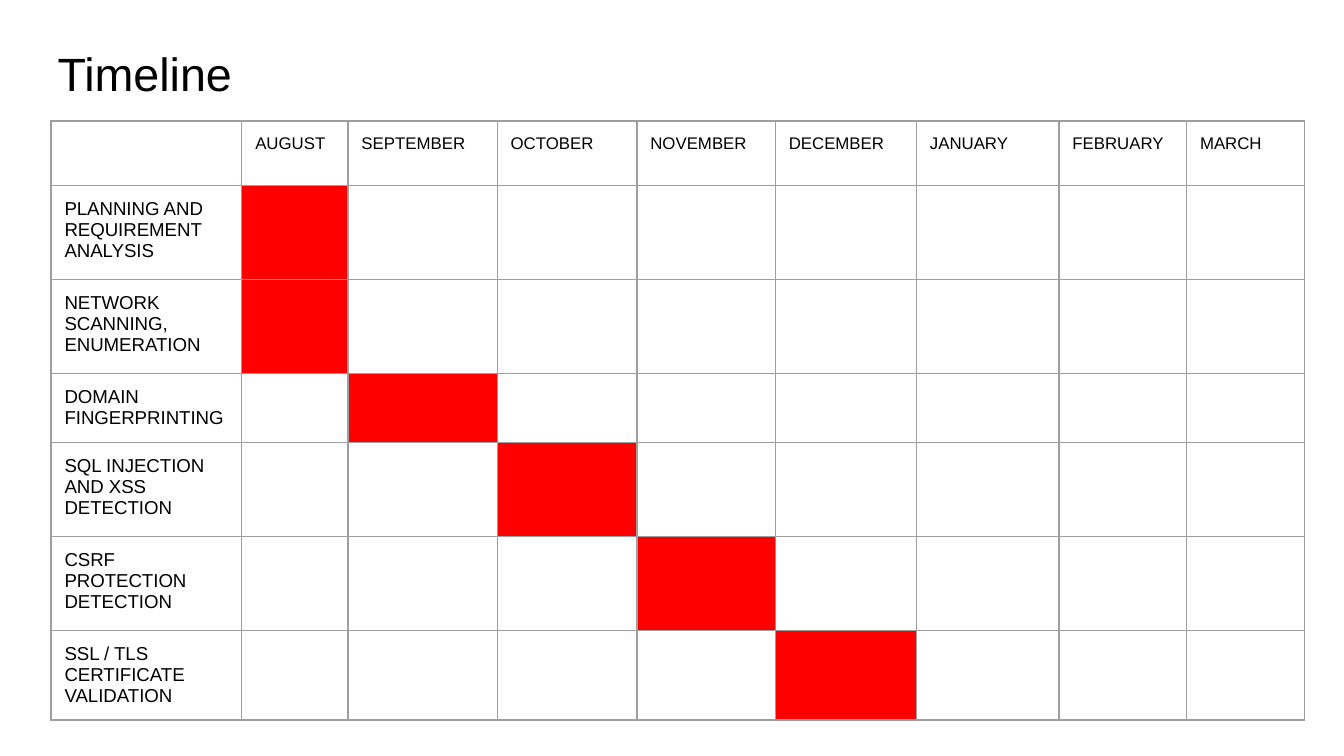
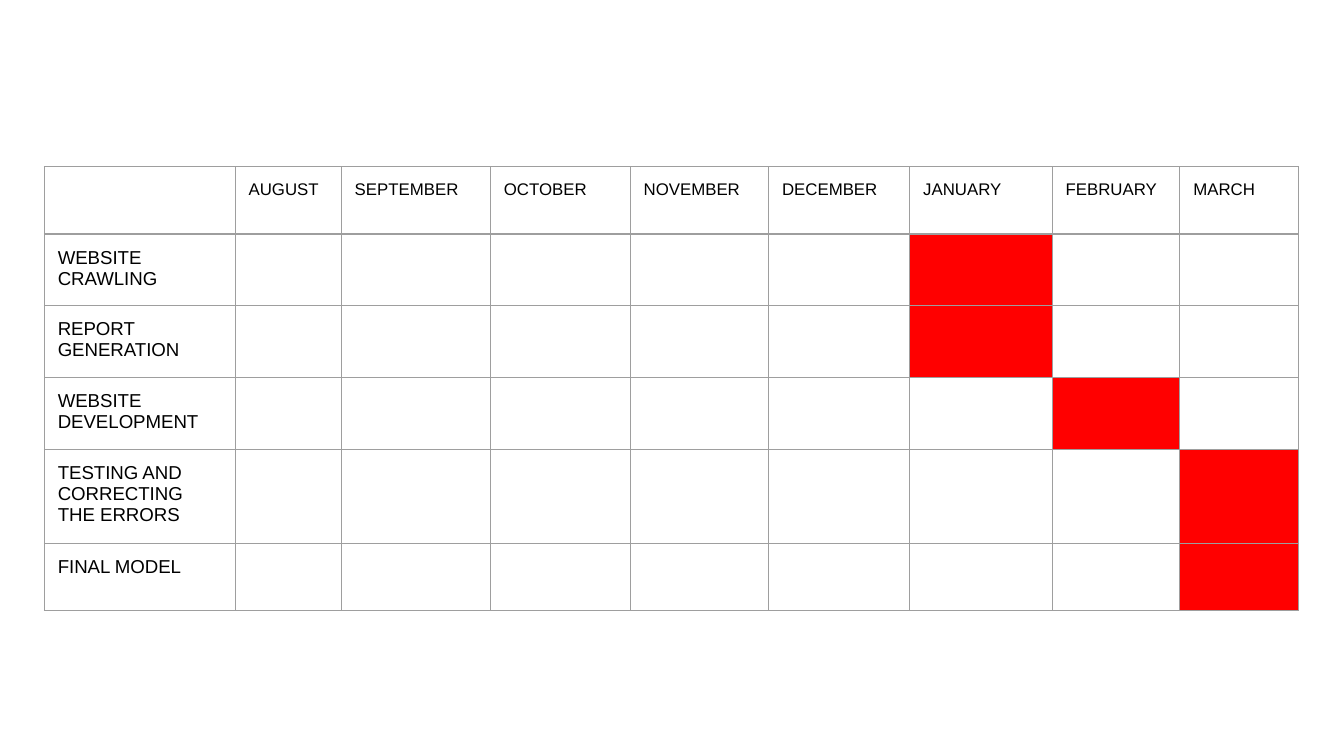
from lxml import etree
from pptx import Presentation
from pptx.dml.color import RGBColor
from pptx.oxml import ns
from pptx.util import Inches, Pt

BLACK = RGBColor(0x00, 0x00, 0x00)
RED = RGBColor(0xFF, 0x00, 0x00)
GRID = RGBColor(0x9E, 0x9E, 0x9E)
FONT = "Arial"
FRAME_SIDE = Inches(3.28)
MARGINS = {side: Inches(0.1) for side in
           ("margin_left", "margin_right", "margin_top", "margin_bottom")}

MONTHS = ["AUGUST", "SEPTEMBER", "OCTOBER", "NOVEMBER",
          "DECEMBER", "JANUARY", "FEBRUARY", "MARCH"]
COLUMN_WIDTHS = [1.42, 0.79, 1.11, 1.04, 1.03, 1.05, 1.06, 0.95, 0.88]
HEADER_HEIGHT = 0.38

# Each task: name, month it is scheduled in, row height
PAGES = [
    {"title": "Timeline", "left": 0.38, "top": 0.9, "tasks": [
        ("PLANNING AND REQUIREMENT ANALYSIS", "AUGUST", 0.7),
        ("NETWORK SCANNING, ENUMERATION", "AUGUST", 0.7),
        ("DOMAIN FINGERPRINTING", "SEPTEMBER", 0.43),
        ("SQL INJECTION AND XSS DETECTION", "OCTOBER", 0.7),
        ("CSRF PROTECTION DETECTION", "NOVEMBER", 0.7),
        ("SSL / TLS CERTIFICATE VALIDATION", "DECEMBER", 0.43)]},
    {"title": None, "left": 0.33, "top": 1.24, "tasks": [
        ("WEBSITE CRAWLING", "JANUARY", 0.53),
        ("REPORT GENERATION", "JANUARY", 0.52),
        ("WEBSITE DEVELOPMENT", "FEBRUARY", 0.43),
        ("TESTING AND CORRECTING THE ERRORS", "MARCH", 0.7),
        ("FINAL MODEL", "MARCH", 0.46)]},
]


def write(target, frame, words, size):
    """Set the margins of a cell or text frame and put words in it."""
    for name, value in MARGINS.items():
        setattr(target, name, value)
    para = frame.paragraphs[0]
    if words:
        span = para.add_run()
        span.text = words
        span.font.color.rgb = BLACK
        for name, value in {"name": FONT, "size": Pt(size), "bold": False}.items():
            setattr(span.font, name, value)
    else:
        ending = etree.SubElement(para._p, ns.qn("a:endParaRPr"), sz="1800")
        etree.SubElement(ending, ns.qn("a:latin"), typeface=FONT)


def add_borders(cell):
    properties = cell._tc.get_or_add_tcPr()
    for position, side in enumerate(("lnL", "lnR", "lnT", "lnB")):
        line = etree.Element(ns.qn(f"a:{side}"), w=str(Pt(0.75)))
        fill = etree.SubElement(line, ns.qn("a:solidFill"))
        etree.SubElement(fill, ns.qn("a:srgbClr"), val=str(GRID))
        properties.insert(position, line)


deck = Presentation()
deck.slide_width = Inches(10)
deck.slide_height = deck.slide_width * 9 // 16

for content in PAGES:
    page = deck.slides.add_slide(deck.slide_layouts[6])
    tasks = content["tasks"]
    heights = [HEADER_HEIGHT] + [height for _, _, height in tasks]
    schedule = page.shapes.add_table(
        len(heights), len(COLUMN_WIDTHS), Inches(content["left"]), Inches(content["top"]),
        FRAME_SIDE, FRAME_SIDE)
    table = schedule.table
    table.first_row = table.horz_banding = False
    for column, width in zip(table.columns, COLUMN_WIDTHS):
        column.width = Inches(width)
    for row, height in zip(table.rows, heights):
        row.height = Inches(height)
    schedule.width = schedule.height = FRAME_SIDE

    grid = [[""] + MONTHS] + [[name] + [""] * len(MONTHS) for name, _, _ in tasks]
    for row_number, labels in enumerate(grid):
        for column_number, label in enumerate(labels):
            cell = table.cell(row_number, column_number)
            write(cell, cell.text_frame, label, 10 if row_number else 9)
            cell.fill.background()
            add_borders(cell)
    for row_number, (_, month, _) in enumerate(tasks, start=1):
        bar = table.cell(row_number, MONTHS.index(month) + 1)
        bar.fill.solid()
        bar.fill.fore_color.rgb = RED

    if content["title"]:
        box = page.shapes.add_textbox(Inches(0.33), Inches(0.23), Inches(7.92), Inches(0.41))
        box.text_frame.word_wrap = True
        write(box.text_frame, box.text_frame, content["title"], 25)

deck.save("out.pptx")
